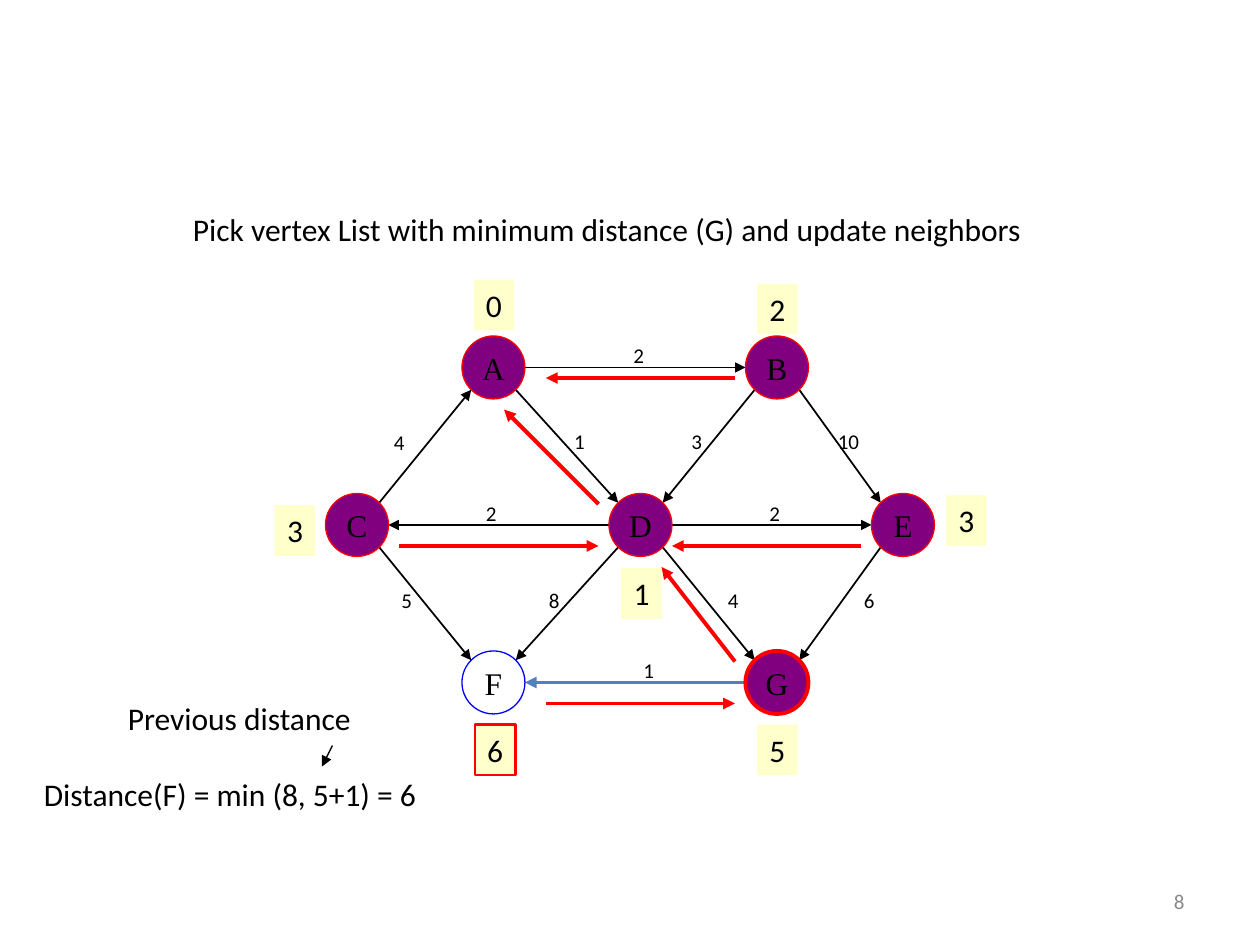
from dataclasses import dataclass
from math import copysign, hypot

from lxml import etree
from pptx import Presentation
from pptx.dml.color import RGBColor
from pptx.enum.shapes import MSO_CONNECTOR, MSO_SHAPE
from pptx.enum.text import MSO_ANCHOR, MSO_AUTO_SIZE, PP_ALIGN
from pptx.oxml.ns import qn
from pptx.util import Pt

STRAIGHT = MSO_CONNECTOR.STRAIGHT
OVAL, RECT = MSO_SHAPE.OVAL, MSO_SHAPE.RECTANGLE
TOP, MIDDLE = MSO_ANCHOR.TOP, MSO_ANCHOR.MIDDLE
NO_FIT = MSO_AUTO_SIZE.NONE
LEFT, CENTER, RIGHT = PP_ALIGN.LEFT, PP_ALIGN.CENTER, PP_ALIGN.RIGHT


@dataclass(frozen=True)
class Theme:
    ink: str = "000000"
    muted: str = "898989"
    visited: str = "800080"
    open_line: str = "0000FF"
    red: str = "FF0000"
    current_edge: str = "4F81BD"
    badge: str = "FFFFCC"
    body_font: str = "Calibri"
    node_font: str = "Times New Roman"
    body: int = 18
    small: int = 12
    thin: float = 0.75
    edge: float = 1
    outline: float = 1.25
    thick: float = 2.25


RADIUS = 18
VERTICES = {
    "A": (282, 210), "B": (444, 210),
    "C": (204, 300), "D": (366, 300), "E": (516, 300),
    "F": (282, 390), "G": (444, 390),
}
DISTANCES = [
    ("0", 270.7, 159.8), ("2", 432.7, 162), ("3", 157, 288.7), ("3", 540.7, 283),
    ("1", 355, 324.7), ("5", 432.7, 414),
]
EDGES = [
    ("C", "A", "4", 218.2, 242), ("A", "D", "1", 321.1, 241.2),
    ("A", "B", "2", 355, 192.2), ("B", "E", "10", 474.9, 241.2),
    ("B", "D", "3", 388.1, 241.2), ("E", "G", "6", 486.7, 332),
    ("D", "G", "4", 409, 332), ("D", "E", "2", 432.7, 282.2),
    ("D", "C", "2", 270.7, 282.2), ("D", "F", "8", 306.7, 332),
    ("C", "F", "5", 222.5, 332), ("G", "F", "1", 360.7, 372.2),
]
PREDECESSORS = [
    ((342, 288), (288, 234)), ((420, 216), (312, 216)), ((492, 312), (384, 312)),
    ((420, 378), (378, 324)), ((312, 402), (420, 402)), ((228, 312), (342, 312)),
]


def edge_ends(start, end):
    (x1, y1), (x2, y2) = start, end
    ux = copysign(1, x2 - x1) if x1 != x2 else 0
    uy = copysign(1, y2 - y1) if y1 != y2 else 0
    k = RADIUS / hypot(ux, uy)
    return (x1 + k * ux, y1 + k * uy), (x2 - k * ux, y2 - k * uy)


class GraphSlide:
    def __init__(self, slide, theme):
        self.s = slide
        self.theme = theme

    def set_text(self, sp, text, size, color=None, font=None, align=LEFT, anchor=TOP, wrap=False):
        tf = sp.text_frame
        tf.auto_size = NO_FIT
        tf.word_wrap = wrap
        tf.vertical_anchor = anchor
        p = tf.paragraphs[0]
        p.alignment = align
        r = p.add_run()
        r.text = text
        r.font.size = Pt(size)
        r.font.name = font or self.theme.body_font
        r.font.color.rgb = RGBColor.from_string(color or self.theme.ink)

    def title(self, text, *box):
        sp = self.s.shapes.title
        sp.left, sp.top, sp.width, sp.height = map(Pt, box)
        self.set_text(sp, text, self.theme.body)

    def text(self, text, box, size, **style):
        sp = self.s.shapes.add_textbox(*map(Pt, box))
        self.set_text(sp, text, size, **style)

    def shape(self, kind, box, fill=None, line=None, width=0):
        sp = self.s.shapes.add_shape(kind, *map(Pt, box))
        sp.shadow.inherit = False
        if fill:
            sp.fill.solid()
            sp.fill.fore_color.rgb = RGBColor.from_string(fill)
        else:
            sp.fill.background()
        if line:
            sp.line.color.rgb = RGBColor.from_string(line)
            sp.line.width = Pt(width)
        else:
            sp.line.fill.background()
        return sp

    def vertex(self, name, center, fill, line, width):
        x, y = center
        box = (x - RADIUS, y - RADIUS, 2 * RADIUS, 2 * RADIUS)
        sp = self.shape(OVAL, box, fill, line, width)
        self.set_text(sp, name, self.theme.body, font=self.theme.node_font,
                      align=CENTER, anchor=MIDDLE)

    def distance(self, value, x, y, line=None):
        sp = self.shape(RECT, (x, y, 23.2, 29), self.theme.badge, line, self.theme.outline)
        self.set_text(sp, value, self.theme.body, align=CENTER)

    def weight(self, value, x, y):
        self.text(value, (x, y, 20, 21.6), self.theme.small, align=CENTER, anchor=MIDDLE)

    def arrow(self, start, end, color, width):
        sp = self.s.shapes.add_connector(STRAIGHT, *map(Pt, (*start, *end)))
        sp.line.color.rgb = RGBColor.from_string(color)
        sp.line.width = Pt(width)
        ln = sp.line._get_or_add_ln()
        etree.SubElement(ln, qn("a:tailEnd"), type="triangle")
        etree.SubElement(sp._element.spPr, qn("a:effectLst"))


def main():
    prs = Presentation()
    prs.slide_width, prs.slide_height = Pt(720), Pt(540)
    theme = Theme()
    graph = GraphSlide(prs.slides.add_slide(prs.slide_layouts[5]), theme)

    graph.title("Pick vertex List with minimum distance (G) and update neighbors",
                103, 116.6, 489.6, 29)

    for start, end, value, x, y in EDGES:
        current = (start, end) == ("G", "F")
        graph.arrow(*edge_ends(VERTICES[start], VERTICES[end]),
                    theme.current_edge if current else theme.ink,
                    theme.thick if current else theme.edge)
        graph.weight(value, x, y)

    for name, center in VERTICES.items():
        is_open = name == "F"
        graph.vertex(name, center, None if is_open else theme.visited,
                     theme.open_line if is_open else theme.red,
                     theme.thick if name == "G" else theme.thin)

    for value, x, y in DISTANCES:
        graph.distance(value, x, y)
    graph.distance("6", 271.4, 414, theme.red)

    for start, end in PREDECESSORS:
        graph.arrow(start, end, theme.red, theme.thick)

    graph.text("Distance(F) = min (8, 5+1) = 6", (18, 439.2, 282, 29), theme.body, wrap=True)
    graph.text("Previous distance", (66, 396, 162, 29), theme.body, wrap=True)
    graph.arrow((190, 426), (184, 438), theme.ink, theme.thin)
    graph.text("8", (516, 500.5, 168, 28.8), theme.small, color=theme.muted,
               align=RIGHT, anchor=MIDDLE, wrap=True)

    prs.save("out.pptx")


if __name__ == "__main__":
    main()
